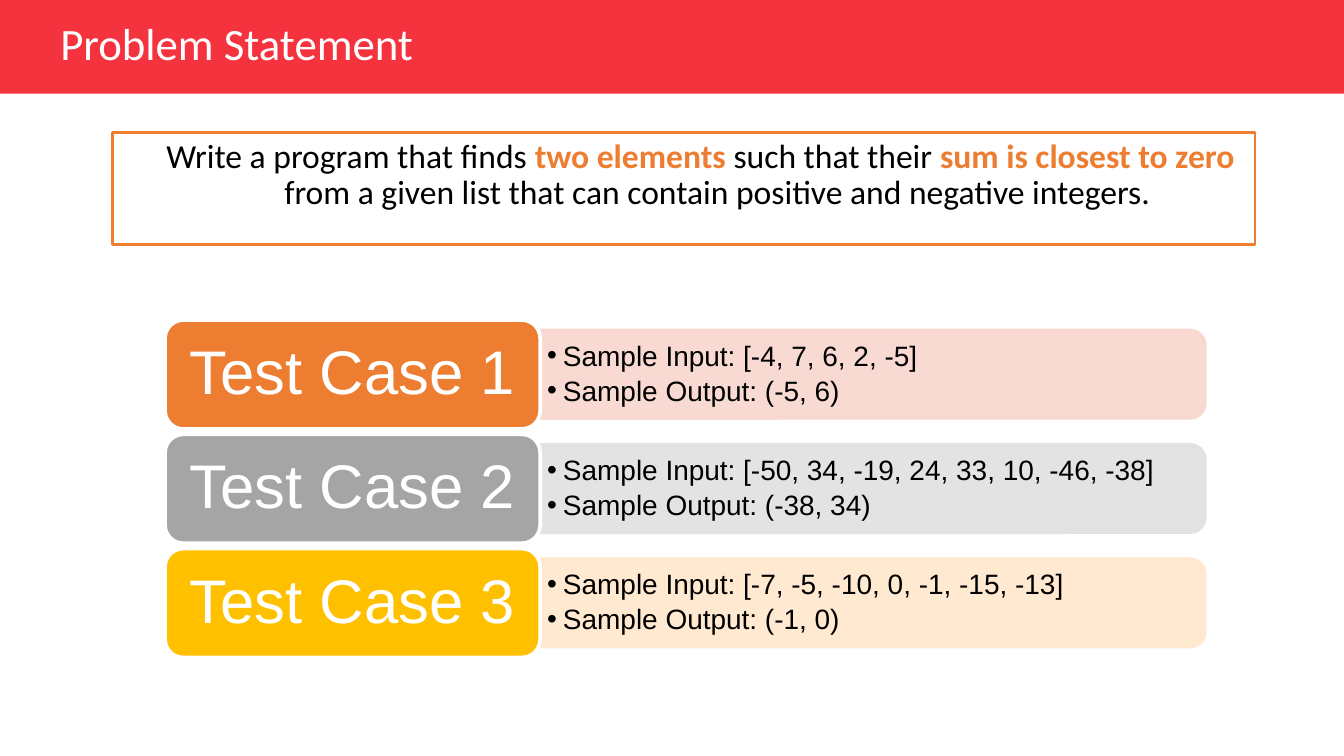
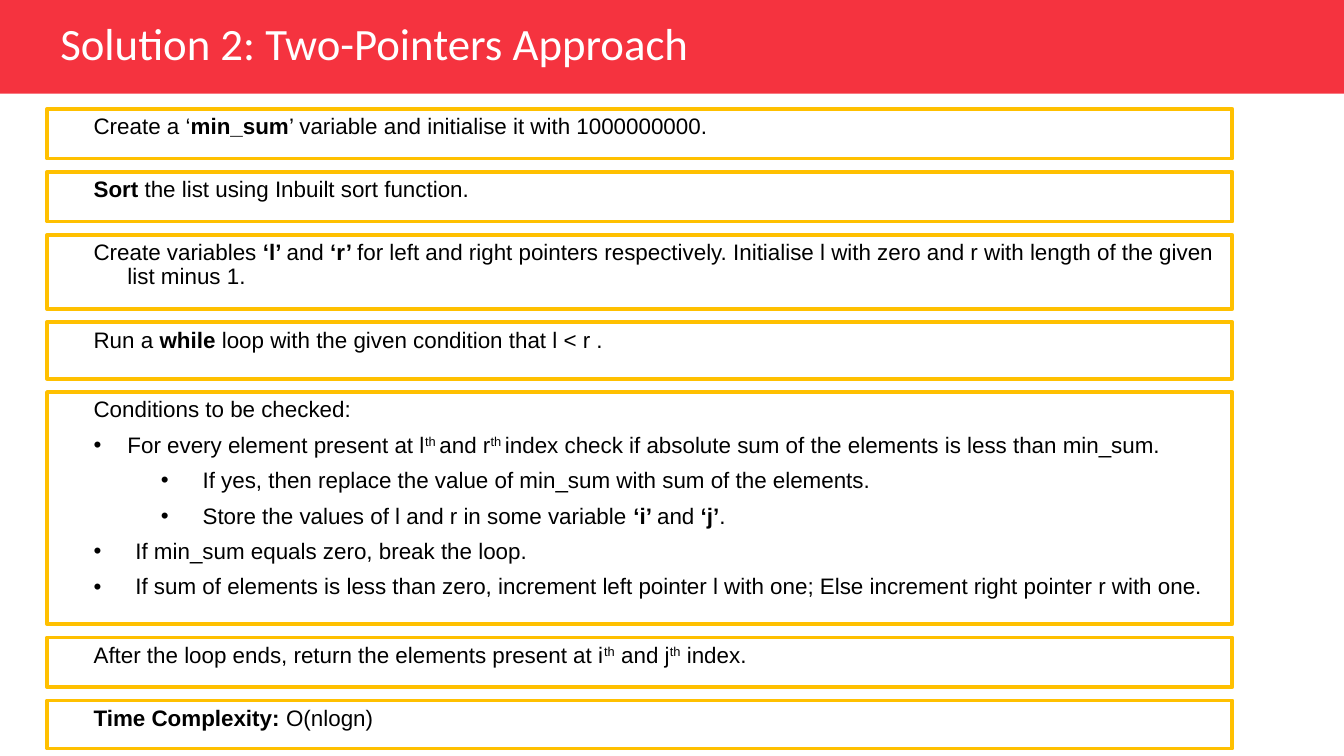
import lxml.etree
import pptx
import pptx.dml.color
import pptx.enum.shapes
import pptx.enum.text
import pptx.oxml.ns
import pptx.util

Cm = pptx.util.Cm
Pt = pptx.util.Pt
SHAPE = pptx.enum.shapes.MSO_SHAPE
ALIGN = pptx.enum.text.PP_ALIGN
ANCHOR = pptx.enum.text.MSO_ANCHOR
qn = pptx.oxml.ns.qn

RED, ORANGE, GREY, YELLOW = "F5333F", "ED7D31", "A5A5A5", "FFC000"
BLACK, WHITE = "000000", "FFFFFF"
BOLD, SUPER = {"bold": True}, {"base": 30}


def rgb(value):
    return pptx.dml.color.RGBColor.from_string(value)


def add_run(p, text, size=12, font="Arial", color=BLACK, bold=False, base=0):
    r = p.add_run()
    r.text = text
    r.font.size = Pt(size)
    r.font.name = font
    r.font.color.rgb = rgb(color)
    r.font.bold = bold
    if base:
        r._r.get_or_add_rPr().set("baseline", str(base * 1000))


def write(tf, text, mark=BOLD, align=ALIGN.LEFT, indent=(0, 0), level=0,
          before=0, after=0, bullet=False, **fmt):
    """Add a paragraph; parts between bars take the format in mark."""
    p = tf.paragraphs[0]
    if p.runs:
        p = tf.add_paragraph()
    p.alignment = align
    p.level = level
    p.line_spacing = 0.9
    p.space_before = Pt(before)
    p.space_after = Pt(after)
    pPr = p._p.get_or_add_pPr()
    pPr.set("marL", str(Cm(indent[0])))
    pPr.set("indent", str(Cm(indent[1])))
    if bullet:
        lxml.etree.SubElement(pPr, qn("a:buFont")).set("typeface", "Arial")
        lxml.etree.SubElement(pPr, qn("a:buChar")).set("char", "•")
    else:
        lxml.etree.SubElement(pPr, qn("a:buNone"))
    for i, part in enumerate(text.split("|")):
        if part:
            add_run(p, part, **(fmt | mark if i % 2 else fmt))


class Deck:
    title_style = {"size": 24, "font": "Calibri", "color": WHITE}

    def __init__(self):
        self.prs = pptx.Presentation()
        self.prs.slide_width = Cm(25.4)
        self.prs.slide_height = Cm(14.29)
        self.s = None

    def frame(self, sp, anchor, inset):
        tf = sp.text_frame
        tf.word_wrap = True
        tf.vertical_anchor = anchor
        tf.margin_left = tf.margin_right = Cm(inset)
        tf.margin_top = tf.margin_bottom = Cm(inset / 2)
        return tf

    def text(self, x, y, w, h, anchor=ANCHOR.MIDDLE, inset=0.25):
        sp = self.s.shapes.add_textbox(Cm(x), Cm(y), Cm(w), Cm(h))
        return self.frame(sp, anchor, inset)

    def shape(self, kind, x, y, w, h, fill, line=None, width=2,
              anchor=ANCHOR.TOP, inset=0.25):
        sp = self.s.shapes.add_shape(kind, Cm(x), Cm(y), Cm(w), Cm(h))
        sp.shadow.inherit = False
        sp.fill.solid()
        sp.fill.fore_color.rgb = rgb(fill)
        if line:
            sp.line.color.rgb = rgb(line)
            sp.line.width = Pt(width)
        else:
            sp.line.fill.background()
        self.frame(sp, anchor, inset)
        return sp

    def slide(self, title, title_width):
        self.s = self.prs.slides.add_slide(self.prs.slide_layouts[6])
        self.shape(SHAPE.RECTANGLE, 0, 0, 25.4, 1.77, RED)
        tf = self.text(0.89, 0.33, title_width, 1.07)
        write(tf, title, **self.title_style)

    def box(self, x, y, w, h, line, width=2):
        return self.shape(SHAPE.RECTANGLE, x, y, w, h, WHITE, line, width).text_frame

    def bar(self, x, y, w, h, color):
        sp = self.shape(SHAPE.ROUND_2_SAME_RECTANGLE, x + (w - h) / 2,
                        y - (w - h) / 2, h, w, color, color)
        sp.rotation = 90
        for clr in sp._element.spPr.iter(qn("a:srgbClr")):
            lxml.etree.SubElement(clr, qn("a:alpha")).set("val", "90000")

    def test_case(self, y, label, color, tint, samples):
        self.bar(10.2, y + 0.2, 12.57, 1.65, tint)
        tf = self.text(10.19, y + 0.28, 12.5, 1.5, inset=0.15)
        for sample in samples:
            write(tf, sample, size=15, level=1, indent=(0.3, -0.3),
                  after=2.5, bullet=True)
        sp = self.shape(SHAPE.ROUNDED_RECTANGLE, 3.12, y, 7.09, 2.06, color,
                        WHITE, anchor=ANCHOR.MIDDLE, inset=0.36)
        write(sp.text_frame, label, size=33, color=WHITE, align=ALIGN.CENTER)


def problem_slide(deck):
    deck.slide("Problem Statement", 10.4)
    tf = deck.box(2.13, 2.51, 21.59, 2.11, ORANGE, 1.5)
    write(tf, "Write a program that finds |two elements |such that their "
              "|sum is closest to zero| from a given list that can contain "
              "positive and negative integers.",
          mark={"bold": True, "color": ORANGE}, size=18, font="Calibri",
          align=ALIGN.CENTER, indent=(1.27, -0.64), before=7.5)
    cases = [
        (ORANGE, "F8D7CE", "[-4, 7, 6, 2, -5]", "(-5, 6)"),
        (GREY, "E1E1E1", "[-50, 34, -19, 24, 33, 10, -46, -38]", "(-38, 34)"),
        (YELLOW, "FFE8CC", "[-7, -5, -10, 0, -1, -15, -13]", "(-1, 0)"),
    ]
    for i, (color, tint, given, result) in enumerate(cases):
        deck.test_case(6.05 + 2.16 * i, f"Test Case {i + 1}", color, tint,
                       [f"Sample Input: {given}", f"Sample Output: {result}"])


def solution_slide(deck):
    deck.slide("Solution 2: Two-Pointers Approach", 14)
    point = {"indent": (1.27, -0.64), "bullet": True}
    sub = {"indent": (2.69, -0.79), "bullet": True, "level": 1}
    wide = {"indent": (1.42, -0.79), "bullet": True}
    plain = {"indent": (1.27, -0.64)}
    steps = [
        (0.94, [("Create a ‘|min_sum|’ variable and initialise it with 1000000000.",
                 plain)]),
        (0.94, [("|Sort| the list using Inbuilt sort function.", plain)]),
        (1.4, [("Create variables |‘l’ |and |‘r’ |for left and right pointers "
                "respectively. Initialise l with zero and r with length of the "
                "given list minus 1.", plain)]),
        (1.07, [("Run a |while| loop with the given condition that l < r .", plain)]),
        (4.39, [
            ("Conditions to be checked:", plain),
            ("For every element present at l|th |and r|th |index check if absolute "
             "sum of the elements is less than min_sum.", point | {"mark": SUPER}),
            ("If yes, then replace the value of min_sum with sum of the elements.", sub),
            ("Store the values of l and r in some variable |‘i’ |and |‘j’|.", sub),
            ("If min_sum equals zero, break the loop.", wide),
            ("If sum of elements is less than zero, increment left pointer l with "
             "one; Else increment right pointer r with one.", wide),
        ]),
        (0.94, [("After the loop ends, return the elements present at i|th| and "
                 "j|th| index.", plain | {"mark": SUPER})]),
        (0.91, [("|Time Complexity: |O(nlogn)", plain)]),
    ]
    y, gap = 2.06, 0.25
    for height, lines in steps:
        tf = deck.box(0.89, y, 22.4, height, YELLOW)
        for text, fmt in lines:
            write(tf, text, before=6, **fmt)
        y += height + gap


def main():
    deck = Deck()
    problem_slide(deck)
    solution_slide(deck)
    deck.prs.save("out.pptx")


if __name__ == "__main__":
    main()
